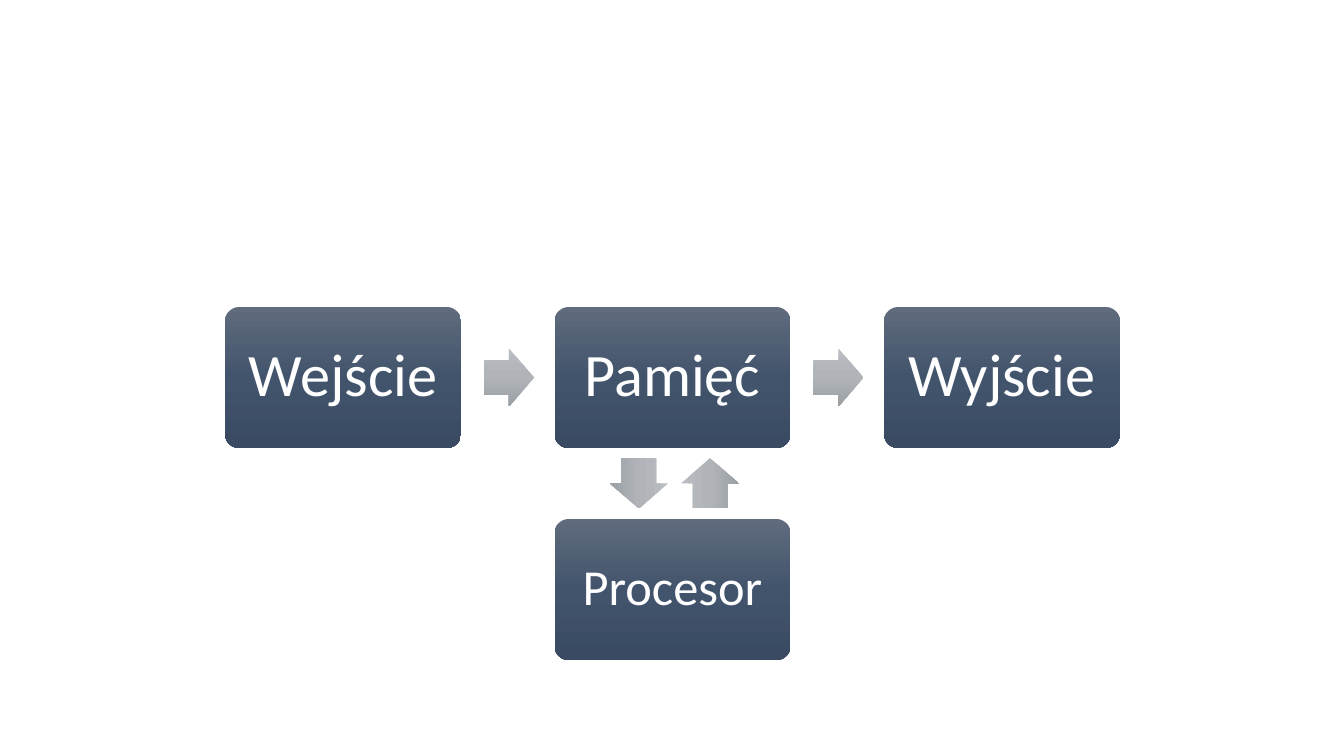
import copy
from dataclasses import dataclass

import pptx
import pptx.dml.color
import pptx.enum.shapes
import pptx.enum.text
import pptx.oxml.ns
import pptx.util

PX = 12192000 / 1344
SHAPES = pptx.enum.shapes.MSO_SHAPE


@dataclass(frozen=True)
class Theme:
    font: str = "Calibri"
    label_color: str = "FFFFFF"
    unit_grades: tuple = ("606B7D", "42546C", "394A62")
    flow_grades: tuple = ("B9BDC1", "B0B4B9", "9BA0A5")
    main_size: int = 43
    processor_size: int = 36


THEME = Theme()
UNIT_WIDTH, UNIT_HEIGHT = 236, 141
FLOW_WIDTH, FLOW_HEIGHT = 50, 58
UNIT_LEFT, UNIT_STEP = 225, 329.5
MAIN_TOP, PROCESSOR_TOP = 307, 519


def px(length):
    return pptx.util.Emu(round(length * PX))


def rgb(color):
    return pptx.dml.color.RGBColor.from_string(color)


def grade(shape, colors):
    shape.fill.gradient()
    shape.fill.gradient_angle = 270
    stop_list = shape._element.spPr.find(".//" + pptx.oxml.ns.qn("a:gsLst"))
    stop_list.append(copy.deepcopy(stop_list[-1]))
    for index, (stop, color) in enumerate(zip(shape.fill.gradient_stops, colors)):
        stop.position = index / (len(colors) - 1)
        stop.color.rgb = rgb(color)


def add_graded_shape(slide, preset, box, adjustments, colors):
    shape = slide.shapes.add_shape(preset, *map(px, box))
    for index, value in enumerate(adjustments):
        shape.adjustments[index] = value
    shape.shadow.inherit = False
    shape.line.fill.background()
    grade(shape, colors)
    return shape


def write(shape, text, size, color=THEME.label_color, inset=16):
    frame = shape.text_frame
    frame.word_wrap = True
    frame.vertical_anchor = pptx.enum.text.MSO_ANCHOR.MIDDLE
    frame.margin_left = frame.margin_right = px(inset)
    frame.margin_top = frame.margin_bottom = px(inset)
    paragraph = frame.paragraphs[0]
    paragraph.alignment = pptx.enum.text.PP_ALIGN.CENTER
    paragraph.line_spacing = 0.9
    run = paragraph.add_run()
    run.text = text
    run.font.name = THEME.font
    run.font.size = pptx.util.Pt(size)
    run.font.color.rgb = rgb(color)


def add_unit(slide, label, left, top, size):
    unit = add_graded_shape(slide, SHAPES.ROUNDED_RECTANGLE,
                            (left, top, UNIT_WIDTH, UNIT_HEIGHT),
                            (0.1,), THEME.unit_grades)
    write(unit, label, size)


def add_flow(slide, center_x, center_y, rotation=0):
    box = (center_x - FLOW_WIDTH / 2, center_y - FLOW_HEIGHT / 2,
           FLOW_WIDTH, FLOW_HEIGHT)
    flow = add_graded_shape(slide, SHAPES.RIGHT_ARROW, box,
                            (0.6, 0.5), THEME.flow_grades)
    flow.rotation = rotation


def main():
    presentation = pptx.Presentation()
    presentation.slide_width, presentation.slide_height = px(1344), px(756)
    slide = presentation.slides.add_slide(presentation.slide_layouts[6])

    main_units = ("Wejście", "Pamięć", "Wyjście")
    for column, label in enumerate(main_units):
        left = UNIT_LEFT + column * UNIT_STEP
        add_unit(slide, label, left, MAIN_TOP, THEME.main_size)
        if column < len(main_units) - 1:
            add_flow(slide, left + UNIT_WIDTH + 48, MAIN_TOP + UNIT_HEIGHT / 2)

    add_unit(slide, "Procesor", UNIT_LEFT + UNIT_STEP, PROCESSOR_TOP,
             THEME.processor_size)
    gap_middle = (MAIN_TOP + UNIT_HEIGHT + PROCESSOR_TOP) / 2
    for center_x, rotation in ((639, 90), (710, 270)):
        add_flow(slide, center_x, gap_middle, rotation)

    presentation.save("out.pptx")


if __name__ == "__main__":
    main()
